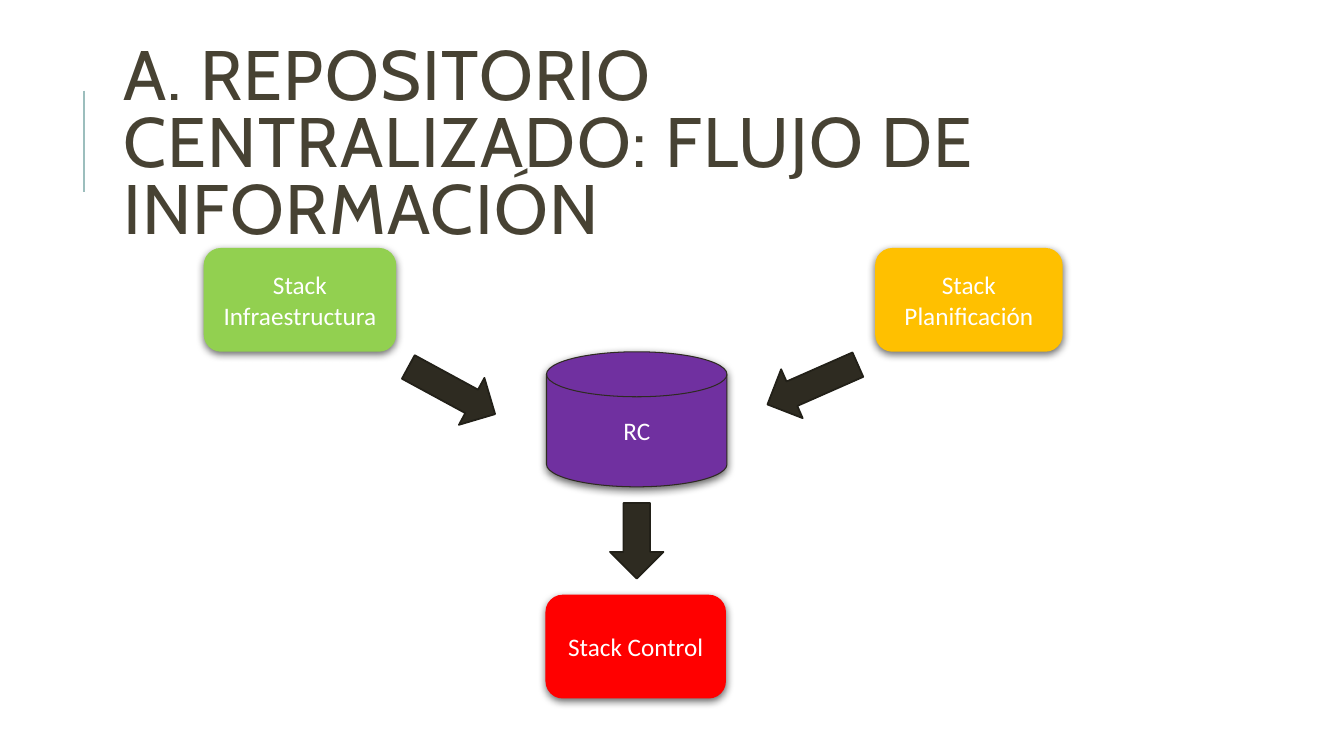
"""Build the slide on the information flow of a centralized repository."""
from dataclasses import dataclass
from typing import Optional

from lxml import etree
from pptx import Presentation
from pptx.dml.color import RGBColor
from pptx.enum.shapes import MSO_CONNECTOR, MSO_SHAPE
from pptx.enum.text import MSO_ANCHOR, MSO_AUTO_SIZE, PP_ALIGN
from pptx.oxml import parse_xml
from pptx.oxml.ns import nsdecls, qn
from pptx.shapes.autoshape import Shape
from pptx.slide import Slide
from pptx.util import Inches, Pt

DISK = MSO_SHAPE.FLOWCHART_MAGNETIC_DISK
PROCESS = MSO_SHAPE.FLOWCHART_ALTERNATE_PROCESS
RIGHT_ARROW = MSO_SHAPE.RIGHT_ARROW
STRAIGHT = MSO_CONNECTOR.STRAIGHT
MIDDLE = MSO_ANCHOR.MIDDLE
NO_AUTOFIT = MSO_AUTO_SIZE.NONE
LEFT, CENTER = PP_ALIGN.LEFT, PP_ALIGN.CENTER

WHITE = RGBColor(0xFF, 0xFF, 0xFF)
TITLE_BROWN = RGBColor(0x47, 0x42, 0x33)
ACCENT_TEAL = RGBColor(0x9C, 0xBE, 0xBD)
DARK = RGBColor(0x2E, 0x2B, 0x21)
DARK_EDGE = RGBColor(0x22, 0x20, 0x18)
PURPLE = RGBColor(0x70, 0x30, 0xA0)
AMBER = RGBColor(0xFF, 0xC0, 0x00)
GREEN = RGBColor(0x92, 0xD0, 0x50)
RED = RGBColor(0xFF, 0x00, 0x00)

STACK_HEIGHT = 1.03
ARROW_HEIGHT = 0.53


@dataclass(frozen=True)
class Node:
    text: str
    left: float
    top: float
    width: float
    fill: RGBColor
    height: float = STACK_HEIGHT
    kind: MSO_SHAPE = PROCESS
    edge: Optional[RGBColor] = None


@dataclass(frozen=True)
class Arrow:
    left: float
    top: float
    width: float
    rotation: float


NODES = (
    Node("RC", 5.42, 3.49, 1.79, PURPLE, 1.34, DISK, DARK),
    Node("Stack Planificación", 8.68, 2.46, 1.86, AMBER),
    Node("Stack Infraestructura", 2.02, 2.46, 1.91, GREEN),
    Node("Stack Control", 5.41, 5.9, 1.79, RED),
)
ARROWS = (
    Arrow(7.57, 3.55, 0.98, 156.2),
    Arrow(3.99, 3.61, 0.98, 28.5),
    Arrow(5.94, 5.1, 0.75, 90),
)


def add_soft_shadow(shape: Shape) -> None:
    """Give a shape a soft shadow that falls straight down."""
    shape.shadow.inherit = False
    effects = shape._element.spPr.find(qn("a:effectLst"))
    effects.append(parse_xml(
        f'<a:outerShdw {nsdecls("a")} blurRad="{Pt(6)}" dist="{Pt(2)}" '
        'dir="5400000" algn="ctr" rotWithShape="0">'
        '<a:srgbClr val="000000"><a:alpha val="60000"/></a:srgbClr>'
        '</a:outerShdw>'
    ))


def add_title(slide: Slide, text: str) -> None:
    """Place and format the title placeholder."""
    title = slide.shapes.title
    title.left, title.top = Inches(1.12), Inches(0.64)
    title.width, title.height = Inches(10.63), Inches(1.64)
    frame = title.text_frame
    frame.text = text
    frame.word_wrap = True
    frame.auto_size = NO_AUTOFIT
    frame.vertical_anchor = MIDDLE
    paragraph = frame.paragraphs[0]
    paragraph.alignment = LEFT
    paragraph.line_spacing = 0.8
    paragraph.font.name = "Cabin"
    paragraph.font.size = Pt(50)
    paragraph.font.color.rgb = TITLE_BROWN
    paragraph.runs[0]._r.get_or_add_rPr().set("spc", "100")


def add_title_rule(slide: Slide) -> None:
    """Draw the thin vertical rule beside the title."""
    rule = slide.shapes.add_connector(
        STRAIGHT, Inches(0.83), Inches(0.9), Inches(0.83), Inches(1.9)
    )
    rule.line.color.rgb = ACCENT_TEAL
    rule.line.width = Pt(1.5)
    etree.SubElement(rule._element.spPr, qn("a:effectLst"))


def add_node(slide: Slide, node: Node) -> None:
    """Draw a labelled node of the flow."""
    shape = slide.shapes.add_shape(
        node.kind, Inches(node.left), Inches(node.top),
        Inches(node.width), Inches(node.height),
    )
    shape.fill.solid()
    shape.fill.fore_color.rgb = node.fill
    if node.edge is None:
        shape.line.fill.background()
    else:
        shape.line.color.rgb = node.edge
        shape.line.width = Pt(0.75)
    add_soft_shadow(shape)
    frame = shape.text_frame
    frame.text = node.text
    frame.word_wrap = True
    frame.vertical_anchor = MIDDLE
    paragraph = frame.paragraphs[0]
    paragraph.alignment = CENTER
    paragraph.font.name = "Calibri"
    paragraph.font.size = Pt(18)
    paragraph.font.color.rgb = WHITE


def add_arrow(slide: Slide, arrow: Arrow) -> None:
    """Draw a rotated block arrow."""
    shape = slide.shapes.add_shape(
        RIGHT_ARROW, Inches(arrow.left), Inches(arrow.top),
        Inches(arrow.width), Inches(ARROW_HEIGHT),
    )
    shape.rotation = arrow.rotation
    shape.shadow.inherit = False
    shape.fill.solid()
    shape.fill.fore_color.rgb = DARK
    shape.line.color.rgb = DARK_EDGE
    shape.line.width = Pt(1.25)


def main() -> None:
    """Build and save the presentation."""
    presentation = Presentation()
    presentation.slide_width = Inches(13.33)
    presentation.slide_height = Inches(7.5)
    layout = presentation.slide_layouts.get_by_name("Title Only")
    slide = presentation.slides.add_slide(layout)
    add_title_rule(slide)
    add_title(slide, "A. REPOSITORIO CENTRALIZADO: FLUJO DE INFORMACIÓN")
    for node in NODES:
        add_node(slide, node)
    for arrow in ARROWS:
        add_arrow(slide, arrow)
    presentation.save("out.pptx")


if __name__ == "__main__":
    main()
